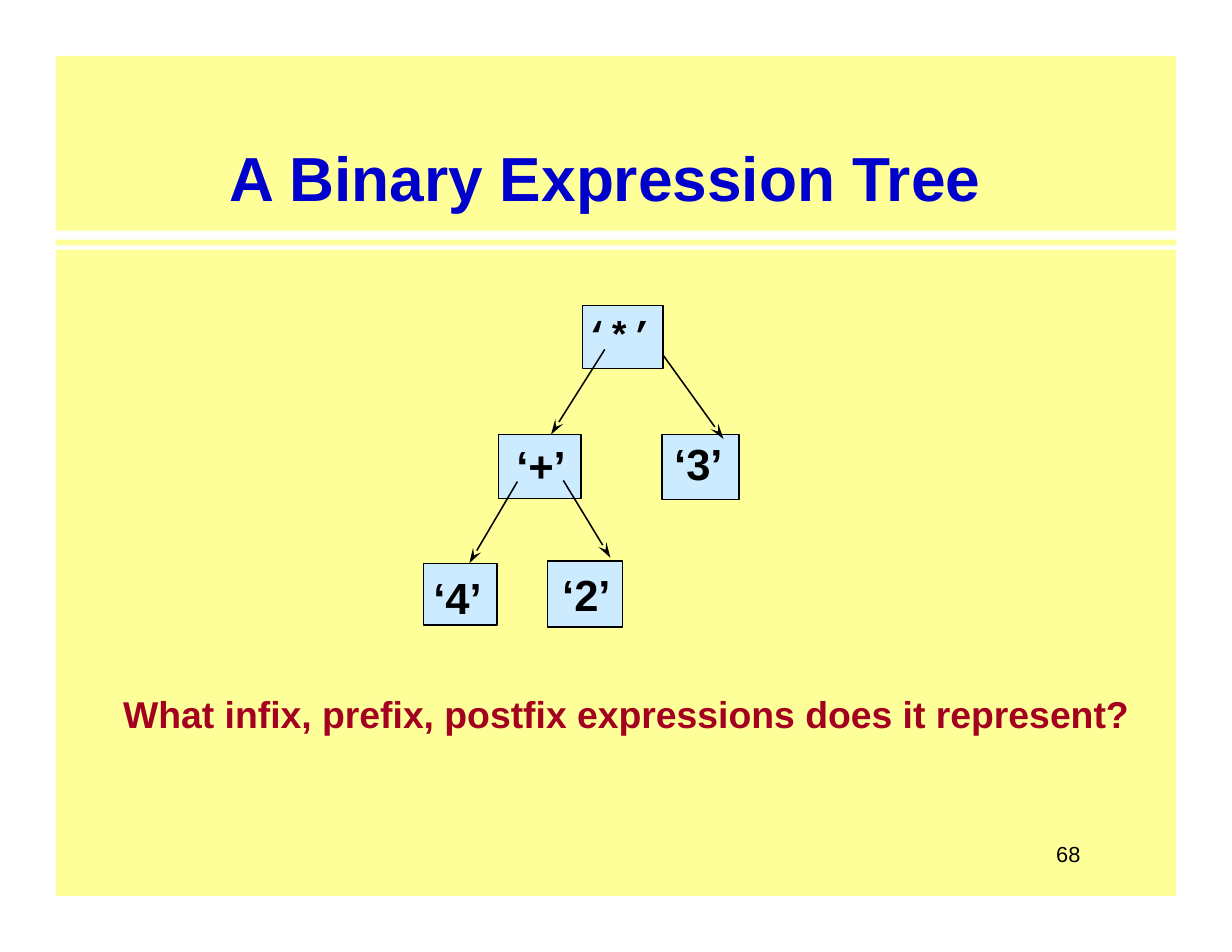
import pptx
import pptx.util
import pptx.dml.color
import pptx.enum.shapes
import pptx.enum.text
import pptx.oxml.ns
import lxml.etree

Inches = pptx.util.Inches
Pt = pptx.util.Pt
RECTANGLE = pptx.enum.shapes.MSO_SHAPE.RECTANGLE
COLORS = {
    "panel": "FFFF99",
    "rule": "FFFFFF",
    "title": "0000CC",
    "node": "CCEBFF",
    "ink": "000000",
    "question": "A40020",
}


def add_box(left, top, width, height, fill):
    box = slide.shapes.add_shape(
        RECTANGLE, Inches(left), Inches(top), Inches(width), Inches(height))
    box.shadow.inherit = False
    box.fill.solid()
    box.fill.fore_color.rgb = pptx.dml.color.RGBColor.from_string(COLORS[fill])
    box.line.fill.background()
    return box


def write(frame, text, size, color, left=0, top=0, font="Arial", bold=True):
    frame.word_wrap = True
    frame.auto_size = pptx.enum.text.MSO_AUTO_SIZE.NONE
    frame.vertical_anchor = pptx.enum.text.MSO_ANCHOR.TOP
    frame.margin_left, frame.margin_top = Inches(left), Inches(top)
    frame.margin_right = frame.margin_bottom = 0
    paragraph = frame.paragraphs[0]
    paragraph.alignment = pptx.enum.text.PP_ALIGN.LEFT
    run = paragraph.add_run()
    run.text = text
    run.font.name = font
    run.font.size = Pt(size)
    run.font.bold = bold
    run.font.color.rgb = pptx.dml.color.RGBColor.from_string(COLORS[color])


deck = pptx.Presentation()
deck.slide_width, deck.slide_height = Inches(11), Inches(8.5)
slide = deck.slides.add_slide(deck.slide_layouts[5])

# Yellow panel with a double rule
add_box(0.5, 0.5, 10, 7.5, "panel")
add_box(0.5, 2.06, 10, 0.08, "rule")
add_box(0.5, 2.19, 10, 0.04, "rule")

# Title, brought in front of the panel
title = slide.shapes.title
title.left, title.top = Inches(2.04), Inches(1.23)
title.width, title.height = Inches(6.9), Inches(0.7)
write(title.text_frame, "A Binary Expression Tree", 40, "title", 0.01, 0.01)
slide.shapes[-1].element.addnext(title.element)

# Tree nodes: place, label, label offset, font, size
nodes = [
    (5.2, 2.73, 0.72, 0.56, "‘*’", 0.03, 0.05, "Courier New", 24),
    (4.45, 3.88, 0.74, 0.57, "‘+’", 0.16, 0.04, "Arial", 28),
    (5.91, 3.88, 0.69, 0.58, "‘3’", 0.11, 0.02, "Arial", 28),
    (3.78, 5.03, 0.66, 0.55, "‘4’", 0.09, 0.07, "Arial", 28),
    (4.89, 5.01, 0.67, 0.59, "‘2’", 0.13, 0.06, "Arial", 28),
]
for left, top, width, height, label, indent, drop, font, size in nodes:
    node = add_box(left, top, width, height, "node")
    node.line.color.rgb = pptx.dml.color.RGBColor.from_string(COLORS["ink"])
    node.line.width = Pt(1)
    write(node.text_frame, label, size, "ink", indent, drop, font)

# Branches from parent to child
branches = [
    (5.4, 3.12, 4.92, 3.88),
    (5.92, 3.17, 6.46, 3.92),
    (4.62, 4.3, 4.19, 5.03),
    (5.03, 4.29, 5.45, 4.98),
]
for start_x, start_y, end_x, end_y in branches:
    branch = slide.shapes.add_connector(
        pptx.enum.shapes.MSO_CONNECTOR.STRAIGHT,
        Inches(start_x), Inches(start_y), Inches(end_x), Inches(end_y))
    branch.line.color.rgb = pptx.dml.color.RGBColor.from_string(COLORS["ink"])
    branch.line.width = Pt(1)
    lxml.etree.SubElement(branch.line._get_or_add_ln(), pptx.oxml.ns.qn("a:tailEnd"),
                          type="stealth", w="med", len="lg")
    lxml.etree.SubElement(branch.element.spPr, pptx.oxml.ns.qn("a:effectLst"))

# Question below the tree
question = slide.shapes.add_textbox(Inches(1.09), Inches(6.16), Inches(9.2), Inches(0.43))
write(question.text_frame, "What infix, prefix, postfix expressions does it represent?",
      24, "question", 0.01, 0.01)

# Page number
page_number = slide.shapes.add_textbox(Inches(9.39), Inches(7.47), Inches(0.3), Inches(0.24))
write(page_number.text_frame, "68", 14, "ink", 0.04, bold=False)
page_number.text_frame.paragraphs[0].line_spacing = 1.17

deck.save("out.pptx")
